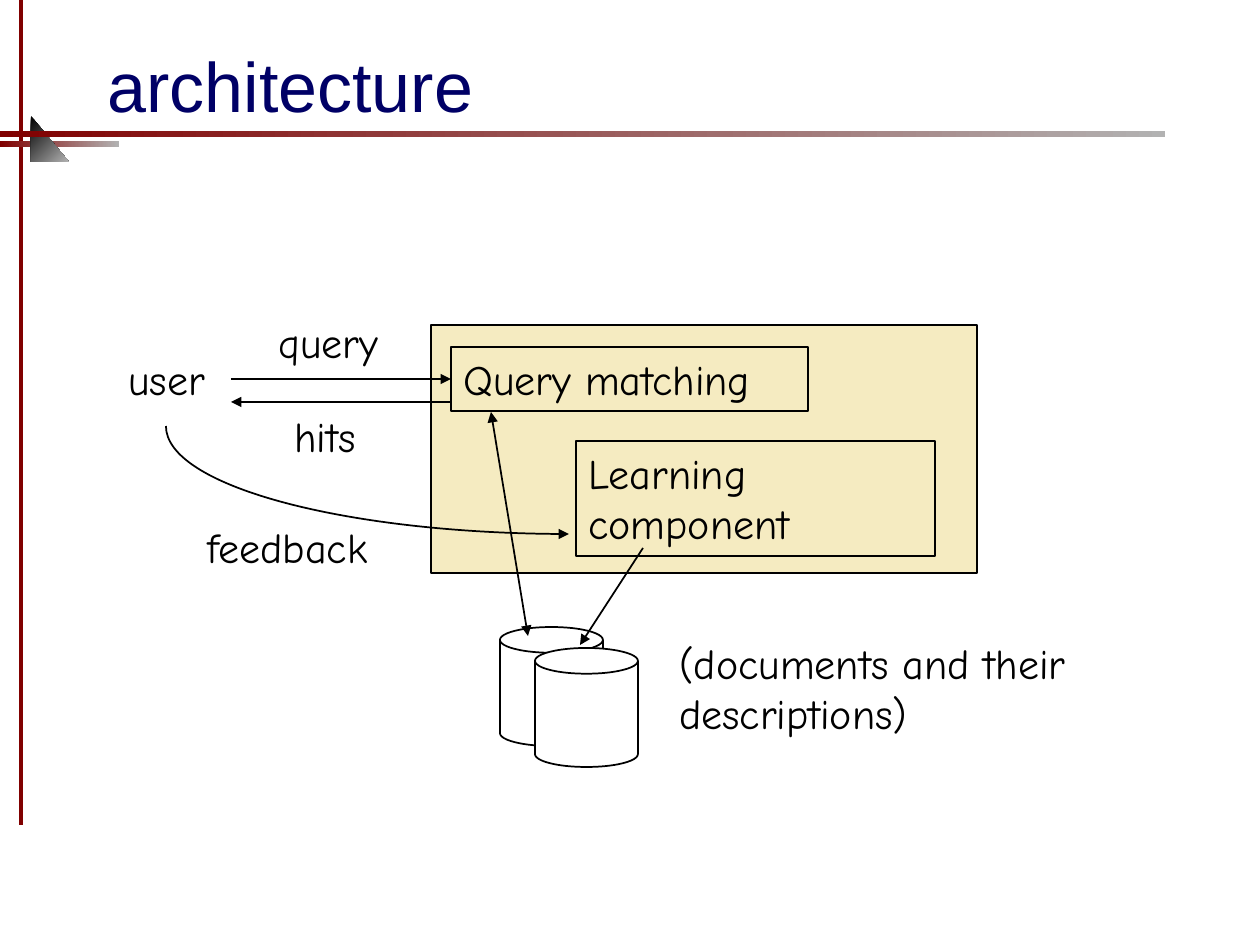
from dataclasses import dataclass

import pptx
import pptx.dml.color
import pptx.enum.dml
import pptx.enum.shapes
import pptx.enum.text
import pptx.oxml
import pptx.oxml.ns
import pptx.util

SHAPE = pptx.enum.shapes.MSO_SHAPE
ANCHOR = pptx.enum.text.MSO_ANCHOR
qn = pptx.oxml.ns.qn


@dataclass(frozen=True)
class Theme:
    title_font: str = "Arial"
    body_font: str = "Comic Neue"
    title_size: int = 40
    body_size: int = 24
    title: str = "000066"
    ink: str = "000000"
    paper: str = "FFFFFF"
    panel: str = "F5EBC1"
    accent: str = "800000"
    fade: str = "B2B2B2"


def px(value):
    return pptx.util.Emu(round(value * 914400 / 126))


def rgb(value):
    return pptx.dml.color.RGBColor.from_string(value)


def write(tf, text, font, size, color, anchor=ANCHOR.TOP):
    tf.word_wrap = True
    tf.vertical_anchor = anchor
    p = tf.paragraphs[0]
    p.alignment = pptx.enum.text.PP_ALIGN.LEFT
    r = p.add_run()
    r.text = text
    r.font.name = font
    r.font.size = pptx.util.Pt(size)
    r.font.color.rgb = rgb(color)


class Deck:
    """Draws themed elements on the current slide, with lengths in px."""

    def __init__(self, theme):
        self.theme = theme
        self.prs = pptx.Presentation()
        self.prs.slide_width, self.prs.slide_height = px(1260), px(945)

    def add_slide(self, title, x, y, w, h):
        t = self.theme
        self.s = self.prs.slides.add_slide(self.prs.slide_layouts[5])
        sp = self.s.shapes.title
        sp.left, sp.top, sp.width, sp.height = map(px, (x, y, w, h))
        write(sp.text_frame, title, font=t.title_font, size=t.title_size,
              color=t.title, anchor=ANCHOR.MIDDLE)

    def body(self, tf, text):
        t = self.theme
        write(tf, text, font=t.body_font, size=t.body_size, color=t.ink)

    def label(self, text, x, y, w, h=63):
        sp = self.s.shapes.add_textbox(*map(px, (x, y, w, h)))
        self.body(sp.text_frame, text)

    def stroke(self, sp, color=None, width=1.0):
        sp.line.color.rgb = rgb(color or self.theme.ink)
        sp.line.width = pptx.util.Pt(width)

    def shape(self, kind, x, y, w, h, fill=None, text=None):
        sp = self.s.shapes.add_shape(kind, *map(px, (x, y, w, h)))
        sp.shadow.inherit = False
        self.stroke(sp)
        if fill:
            sp.fill.solid()
            sp.fill.fore_color.rgb = rgb(fill)
        else:
            sp.fill.background()
        if text:
            self.body(sp.text_frame, text)
        return sp

    def gradient(self, kind, x, y, w, h, start, angle=0):
        sp = self.shape(kind, x, y, w, h)
        sp.line.fill.background()
        sp.fill.gradient()
        sp.fill.gradient_angle = angle
        for stop, color in zip(sp.fill.gradient_stops, (start, self.theme.fade)):
            stop.color.rgb = rgb(color)

    def arrowheads(self, sp, *ends):
        ln = sp.line._get_or_add_ln()
        for end in ends:
            ln.append(ln.makeelement(qn(f"a:{end}"), {"type": "triangle"}))

    def line(self, x1, y1, x2, y2, ends=(), color=None, width=1.0):
        cn = self.s.shapes.add_connector(
            pptx.enum.shapes.MSO_CONNECTOR.STRAIGHT, *map(px, (x1, y1, x2, y2)))
        self.stroke(cn, color, width)
        self.arrowheads(cn, *ends)
        sp_pr = cn._element.spPr
        sp_pr.append(sp_pr.makeelement(qn("a:effectLst"), {}))
        return cn

    def curve(self, x, y, w, h):
        """Draw a quarter ellipse with its arrowhead at the lower right."""
        width, height = px(w), px(h)
        fb = self.s.shapes.build_freeform(px(x + w), px(y + h))
        fb.add_line_segments([(px(x), px(y))], close=False)
        sp = fb.convert_to_shape()
        sp.shadow.inherit = False
        sp.fill.background()
        self.stroke(sp)
        self.arrowheads(sp, "headEnd")
        segment = next(sp._element.iter(qn("a:lnTo")))
        bezier = segment.makeelement(qn("a:cubicBezTo"), {})
        for cx, cy in ((0.45 * width, height), (0, 0.55 * height), (0, 0)):
            point = {"x": str(round(cx)), "y": str(round(cy))}
            bezier.append(bezier.makeelement(qn("a:pt"), point))
        segment.getparent().replace(segment, bezier)


def main():
    theme = Theme()
    deck = Deck(theme)
    deck.add_slide("architecture", 95, 42, 1071, 84)

    deck.line(21, 0, 21, 825, color=theme.accent, width=2.25)
    deck.gradient(SHAPE.RECTANGLE, 0, 141, 119, 6, theme.accent)
    deck.gradient(SHAPE.RIGHT_TRIANGLE, 31, 116, 38, 46, theme.ink, angle=315)
    deck.gradient(SHAPE.RECTANGLE, 0, 131, 1165, 6, theme.accent)

    deck.shape(SHAPE.RECTANGLE, 431, 325, 546, 248, fill=theme.panel)
    matching = deck.shape(SHAPE.RECTANGLE, 451, 347, 357, 64, text="Query matching")
    deck.shape(SHAPE.RECTANGLE, 576, 441, 359, 115, text="Learning component")
    for x, y in ((500, 627), (535, 648)):
        deck.shape(SHAPE.CAN, x, y, 103, 119, fill=theme.paper)

    deck.label("user", 116, 347, 116)
    deck.label("query", 266, 310, 135)
    deck.label("hits", 282, 404, 116)
    deck.label("feedback", 195, 515, 218)
    deck.label("(documents and their descriptions)", 667, 631, 427, 115)

    query = deck.line(231, 379, 451, 379, ends=["tailEnd"])
    query.end_connect(matching, 1)
    deck.line(451, 402, 231, 402, ends=["tailEnd"])
    deck.line(491, 412, 528, 636, ends=["headEnd", "tailEnd"])
    deck.line(643, 548, 580, 645, ends=["tailEnd"])
    deck.curve(166, 426, 403, 108)

    deck.prs.save("out.pptx")


if __name__ == "__main__":
    main()
